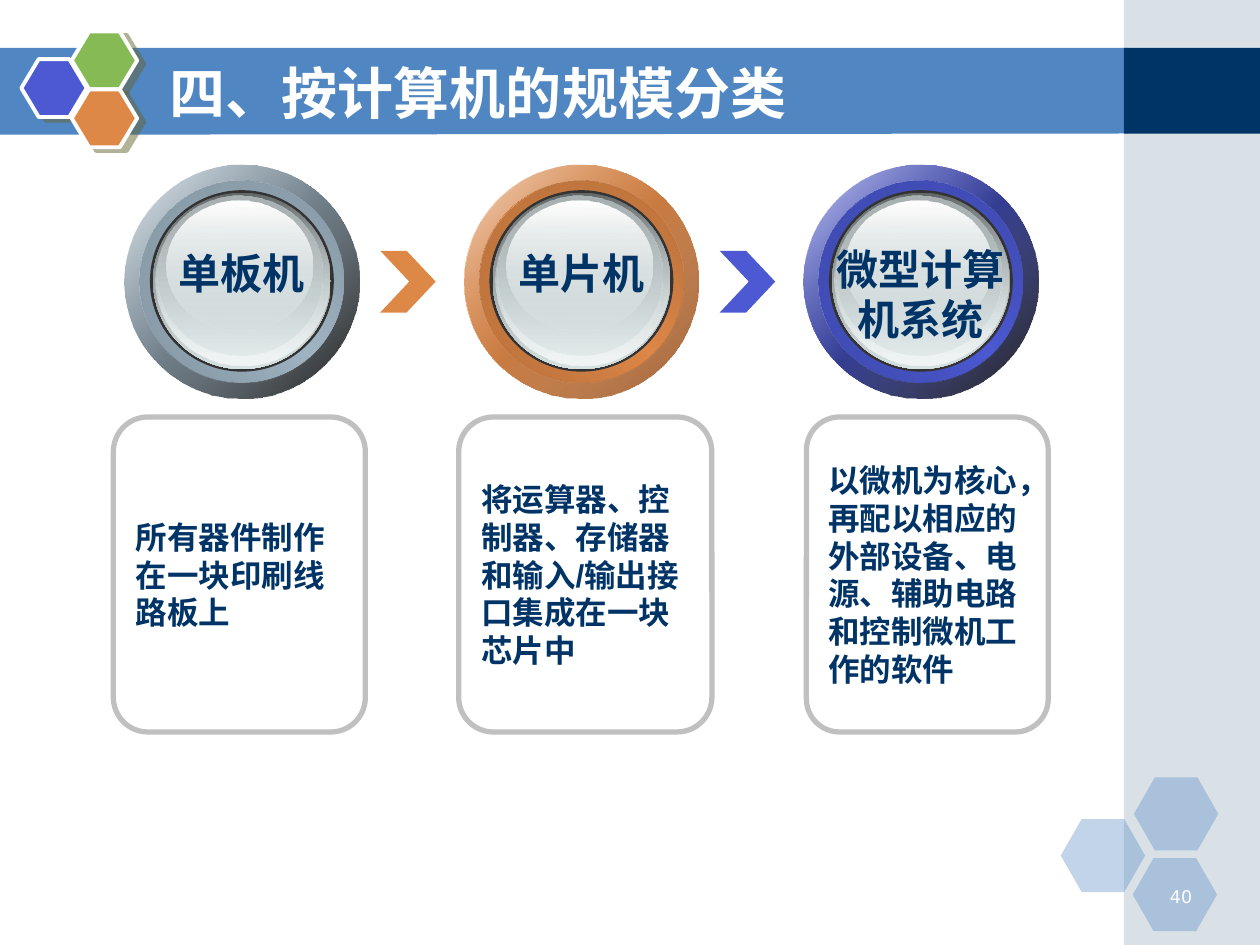
from lxml import etree
from pptx import Presentation
from pptx.dml.color import RGBColor
from pptx.enum import shapes, text
from pptx.oxml.ns import qn
from pptx.util import Pt

WHITE = RGBColor(0xFF, 0xFF, 0xFF)
BLACK = RGBColor(0x00, 0x00, 0x00)
NAVY = RGBColor(0x00, 0x33, 0x66)
BLUE = RGBColor(0x50, 0x86, 0xC2)
STEEL = RGBColor(0xA0, 0xB5, 0xC4)
INDIGO = RGBColor(0x4C, 0x59, 0xD2)
GREEN = RGBColor(0x85, 0xBA, 0x54)
ORANGE = RGBColor(0xDE, 0x88, 0x48)
OLIVE = RGBColor(0x66, 0x66, 0x33)
SILVER = RGBColor(0xC0, 0xC0, 0xC0)
DARK = RGBColor(0x33, 0x33, 0x33)
SLATE = RGBColor(0x63, 0x68, 0x69)
ASH = RGBColor(0xAA, 0xB2, 0xB3)
MIST = RGBColor(0xD6, 0xE1, 0xE2)
PALE = RGBColor(0xF1, 0xF5, 0xF5)
CJK = "Noto Sans CJK SC"
KIND = shapes.MSO_SHAPE

prs = Presentation()
prs.slide_width, prs.slide_height = Pt(720), Pt(540)
slide = prs.slides.add_slide(prs.slide_layouts[6])


def draw(kind, box, *stops, angle=0, adjust=None, edge=None, width=0):
    """Add a shape; stops are evenly spaced (colour, opacity %), one stop is solid."""
    shape = slide.shapes.add_shape(kind, *map(Pt, box))
    shape.shadow.inherit = False
    if adjust:
        shape.adjustments[0] = adjust
    if edge:
        shape.line.color.rgb = edge
        shape.line.width = Pt(width)
    else:
        shape.line.fill.background()
    shape.fill.background()
    if not stops:
        return shape
    none = shape._element.spPr.find(qn("a:noFill"))
    fill = etree.Element(qn("a:gradFill" if len(stops) > 1 else "a:solidFill"))
    none.getparent().replace(none, fill)
    if len(stops) > 1:
        row = etree.SubElement(fill, qn("a:gsLst"))
        etree.SubElement(fill, qn("a:lin"), ang=str(angle * 60000), scaled="0")
    for i, (colour, alpha) in enumerate(stops):
        slot = fill
        if len(stops) > 1:
            pos = 100000 * i // (len(stops) - 1)
            slot = etree.SubElement(row, qn("a:gs"), pos=str(pos))
        tint = etree.SubElement(slot, qn("a:srgbClr"), val=str(colour))
        etree.SubElement(tint, qn("a:alpha"), val=str(alpha * 1000))
    return shape


def write(words, box=None, shape=None, size=18, font="Arial", colour=NAVY, bold=True,
          align=text.PP_ALIGN.LEFT, anchor=text.MSO_ANCHOR.MIDDLE, wrap=True):
    shape = shape or slide.shapes.add_textbox(*map(Pt, box))
    frame = shape.text_frame
    frame.word_wrap = wrap
    frame.vertical_anchor = anchor
    frame.text = words
    for para in frame.paragraphs:
        para.alignment = align
        for run in para.runs:
            run.font.size, run.font.bold = Pt(size), bold
            run.font.color.rgb = colour
            run.font.name = font
            etree.SubElement(run.font._element, qn("a:ea"), typeface=CJK)


# Title band, side panel and hexagons
band = slide.shapes.build_freeform(Pt(0), Pt(27.4))
band.add_line_segments([(Pt(644.4), Pt(27.4)), (Pt(644.4), Pt(76.3)), (Pt(0), Pt(77))])
band = band.convert_to_shape()
band.shadow.inherit = False
band.fill.solid()
band.fill.fore_color.rgb = BLUE
band.line.fill.background()
draw(KIND.RECTANGLE, (642.2, 0, 77.8, 540), (STEEL, 40))
draw(KIND.RECTANGLE, (642.2, 27.4, 77.8, 49), (NAVY, 100))

for x, y in [(606.2, 468), (648, 444.2), (647.3, 490.3)]:
    draw(KIND.HEXAGON, (x, y, 48.2, 41.8), (BLUE, 35), adjust=0.286)

for x, y, hue in [(12.2, 33.8, INDIGO), (41, 18, GREEN), (41, 51.1, ORANGE)]:
    cell = draw(KIND.HEXAGON, (x, y, 37.4, 33.1), (hue, 100), adjust=0.3,
                edge=WHITE, width=2.25)
    glow = etree.SubElement(cell._element.spPr.find(qn("a:effectLst")), qn("a:outerShdw"),
                            dist=str(Pt(4.5)), dir=str(27 * 60000), rotWithShape="0")
    tint = etree.SubElement(glow, qn("a:srgbClr"), val=str(OLIVE))
    etree.SubElement(tint, qn("a:alpha"), val="50000")

write("40", (652.3, 502.6, 36, 18), size=10, font="DejaVu Sans", colour=WHITE,
      bold=False, align=text.PP_ALIGN.RIGHT, anchor=text.MSO_ANCHOR.TOP)

# Cards
cards = [
    (64.8, 144, "所有器件制作在一块印刷线路板上"),
    (262.1, 144.7, "将运算器、控制器、存储器和输入/输出接口集成在一块芯片中"),
    (460.8, 138.2, "以微机为核心，再配以相应的外部设备、电源、辅助电路和控制微机工作的软件"),
]
for x, wide, words in cards:
    card = draw(KIND.ROUNDED_RECTANGLE, (x, 238.3, wide, 180), adjust=0.137,
                edge=SILVER, width=3)
    write(words, shape=card)

# Discs: coloured rim, then the glass shared by all
LEFT, TOP, STEP = 71.3, 94.3, 194
glass = [
    ((14.4, 14.4, 105.1, 103.7), [(DARK, 100)]),
    ((16.2, 15.8, 101.5, 100.8), [(SLATE, 100), (MIST, 100)]),
    ((17.6, 16.6, 99.4, 97.9), [(MIST, 0), (PALE, 100)]),
    ((18.7, 17.3, 94.3, 91.4), [(ASH, 100), (MIST, 48)]),
    ((24, 20.2, 83.5, 74.2), [(WHITE, 100), (MIST, 38)]),
]
discs = [
    ("单板机", 138.2, STEEL, (BLACK, 90), RGBColor(0x7B, 0x8B, 0x96), RGBColor(0x83, 0x95, 0xA1)),
    ("单片机", 138.2, ORANGE, (RGBColor(0x9F, 0x61, 0x34), 100),
     RGBColor(0xAA, 0x68, 0x37), RGBColor(0xB6, 0x70, 0x3B)),
    ("微型计算\n机系统", 135.4, INDIGO, (BLACK, 90),
     RGBColor(0x3A, 0x44, 0xA1), RGBColor(0x3E, 0x49, 0xAC)),
]
for i, (name, y, hue, shade, deep, mid) in enumerate(discs):
    x = LEFT + i * STEP
    rim, ring = (0, 0, 133.9, 133.2), (8.6, 9, 116.6, 115.2)
    layers = [
        (rim, [(WHITE, 100), (hue, 100), (WHITE, 100)], 45),
        (rim, [(hue, 32), shade], 45),
        (ring, [(deep, 100), (hue, 100), (deep, 100)], 315),
        (ring, [(mid, 100), (hue, 0)], 45),
    ] + [(box, stops, 90) for box, stops in glass]
    for (dx, dy, wide, high), stops, angle in layers:
        draw(KIND.OVAL, (x + dx, TOP + dy, wide, high), *stops, angle=angle)
    write(name, (x + 11.5, y, 110.9, 36), size=24, align=text.PP_ALIGN.CENTER,
          anchor=text.MSO_ANCHOR.TOP, wrap=False)

for i, hue in enumerate([ORANGE, INDIGO]):
    draw(KIND.CHEVRON, (LEFT + 146 + i * STEP, 143.3, 31.7, 35.3), (hue, 100), adjust=0.525)

write("四、按计算机的规模分类", (90, 30.2, 527.8, 44.6), size=32, font=CJK, colour=WHITE)

prs.save("out.pptx")
